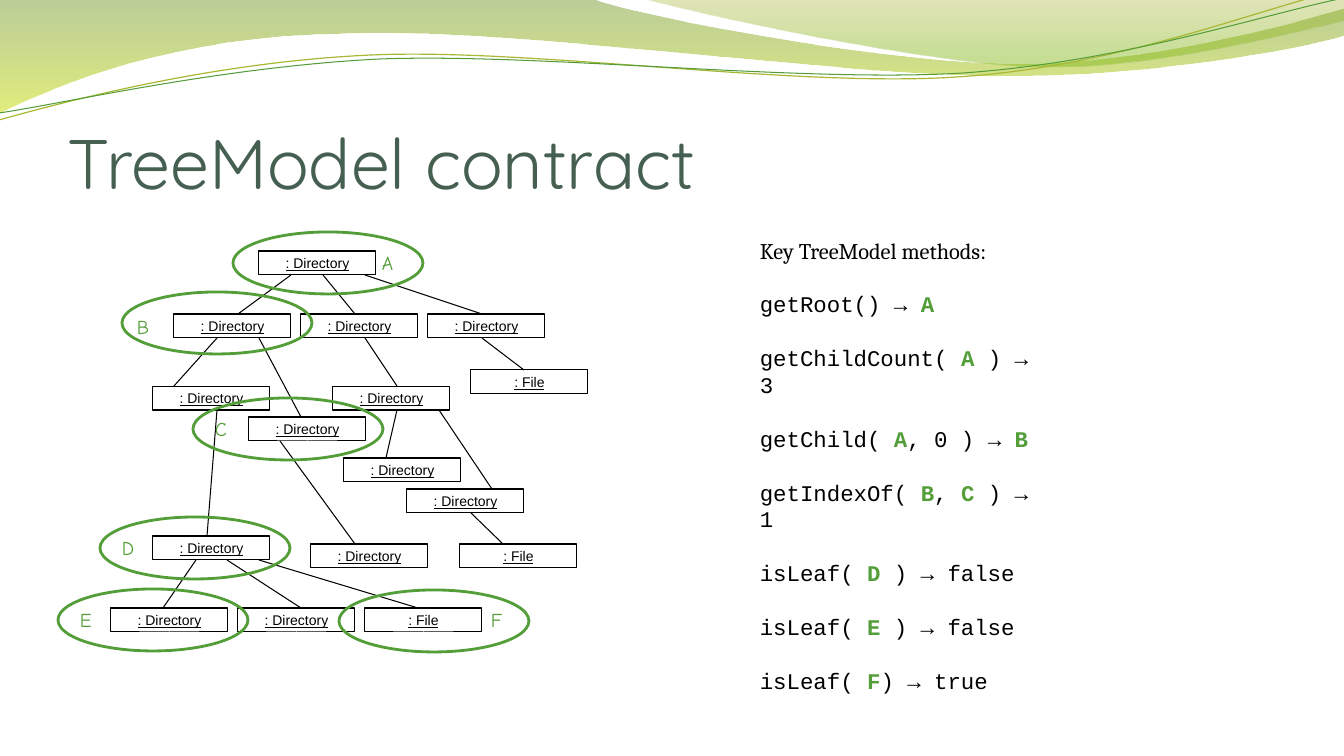
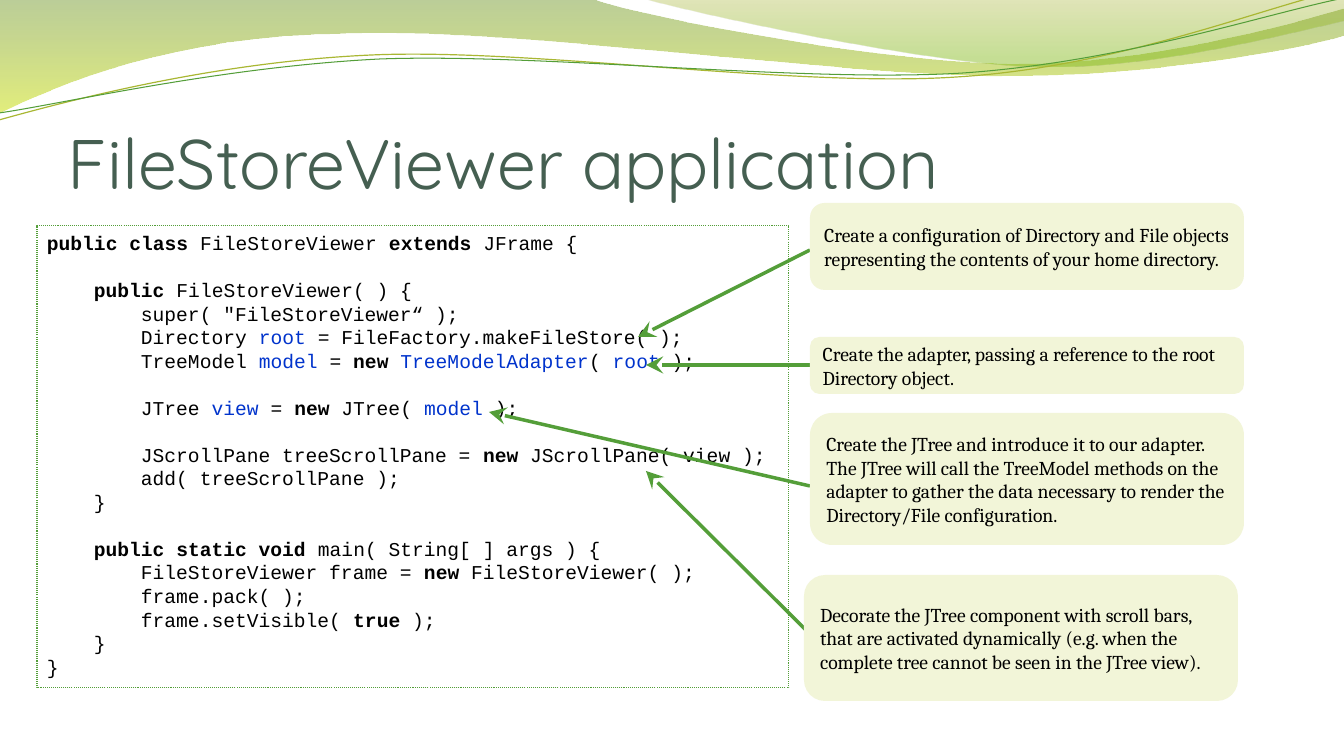
import pptx
import pptx.util
import pptx.dml.color
import pptx.enum.dml
import pptx.enum.shapes
import pptx.enum.text
import pptx.oxml.ns
import lxml.etree

PX = 9144000 / 1008  # EMU per px
BLACK, WHITE, GREEN, BLUE = "000000", "FFFFFF", "549E39", "0033CC"
OLIVE, TITLE_COLOUR, CALLOUT_FILL = "A9B733", "455F51", "F2F5D8"
SHAPE = pptx.enum.shapes.MSO_SHAPE
ALIGN = pptx.enum.text.PP_ALIGN
ANCHOR = pptx.enum.text.MSO_ANCHOR
qn = pptx.oxml.ns.qn

# Waves: pairs are straight corners, sextuples are cubic curves
BACK_WAVE = [(0, 0), (592, -1), (639, 17, 891, 64, 1019, 64),
             (1146, 64, 1287, 26, 1344, 9), (1345, 36),
             (1321, 44, 1168, 77, 1002, 76), (835, 76, 513, 28, 346, 34),
             (173, 36, 61, 84, -2, 114), (0, 0)]
FRONT_WAVE = [(643, -1), (684, 11, 916, 62, 1033, 66),
              (1149, 70, 1292, 32, 1344, 21), (1344, 0), (643, -1)]
OLIVE_WAVE = [(-1, 120), (64, 102, 212, 62, 372, 55),
              (531, 48, 795, 88, 957, 77), (1119, 67, 1261, 8, 1341, -10)]
GREEN_WAVE = [(-1, 113), (62, 104, 220, 67, 380, 59),
              (541, 53, 802, 83, 963, 73), (1123, 62, 1265, 14, 1344, -2)]

# Tree nodes: left and top inside the tree, kind of object
NODES = {
    "A": (201, 19, "Directory"), "B": (116, 82, "Directory"),
    "middle": (243, 82, "Directory"), "right": (370, 82, "Directory"),
    "left": (95, 154, "Directory"), "C": (191, 185, "Directory"),
    "inner": (275, 154, "Directory"), "inner left": (286, 226, "Directory"),
    "inner right": (349, 257, "Directory"), "right file": (413, 138, "File"),
    "D": (95, 304, "Directory"), "C child": (253, 312, "Directory"),
    "inner file": (402, 312, "File"), "E": (53, 376, "Directory"),
    "D middle": (180, 376, "Directory"), "F": (307, 376, "File"),
}
# Parent, child, x at the parent's bottom, x at the child's top
EDGES = [
    ("A", "B", 233, 180), ("A", "middle", 265, 297), ("A", "right", 307, 424),
    ("B", "left", 159, 116), ("B", "C", 201, 243),
    ("middle", "inner", 307, 339), ("right", "right file", 424, 466),
    ("inner", "inner left", 339, 328), ("inner", "inner right", 381, 434),
    ("left", "D", 159, 149), ("C", "C child", 222, 297),
    ("inner right", "inner file", 413, 445),
    ("D", "E", 138, 105), ("D", "D middle", 169, 243), ("D", "F", 201, 360),
]
# Letter, ring's left and top inside the tree, letter's place inside the ring
RINGS = [("A", 175, 0, 139, 14), ("B", 64, 60, 5, 18), ("C", 135, 166, 12, 14),
         ("D", 42, 285, 12, 14), ("E", 0, 357, 12, 14), ("F", 281, 358, 142, 13)]

# In marked text, "|" parts the runs and a leading mark picks the style
METHOD_STYLES = {"*": (True, GREEN)}
METHODS = [
    "getRoot() → |*A", "getChildCount( |*A| ) → 3",
    "getChild( |*A|, 0 ) → |*B", "getIndexOf( |*B|, |*C| ) → 1",
    "isLeaf( |*D| ) → false", "isLeaf( |*E| ) → false", "isLeaf( |*F|) → true",
]
CODE_STYLES = {"*": (True, BLACK), "~": (False, BLUE)}
# Indent level, blank lines above, marked text
CODE = [
    (0, 0, "*public class |FileStoreViewer |*extends |JFrame {"),
    (1, 1, "*public |FileStoreViewer( ) {"),
    (2, 0, 'super( "FileStoreViewer“ );'),
    (2, 0, "Directory |~root| = FileFactory.makeFileStore( );"),
    (2, 0, "TreeModel |~model| = |*new |~TreeModelAdapter|( |~root| );"),
    (2, 1, "JTree |~view| = |*new |JTree( |~model| );"),
    (2, 1, "JScrollPane treeScrollPane = |*new |JScrollPane( view );"),
    (2, 0, "add( treeScrollPane );"),
    (1, 0, "}"),
    (1, 1, "*public static void| main( String[ ] args ) {"),
    (2, 0, "FileStoreViewer frame = |*new |FileStoreViewer( );"),
    (2, 0, "frame.pack( );"),
    (2, 0, "frame.setVisible( |*true| );"),
    (1, 0, "}"),
    (0, 0, "}"),
]
# Callout box, arrow's start height, arrow's tip, text
CALLOUTS = [
    ((810, 203, 434, 87), 250, (638, 337),
     "Create a configuration of Directory and File objects representing "
     "the contents of your home directory."),
    ((810, 337, 434, 57), 365, (646, 365),
     "Create the adapter, passing a reference to the root Directory object."),
    ((810, 413, 434, 132), 486, (489, 412),
     "Create the JTree and introduce it to our adapter. The JTree will call "
     "the TreeModel methods on the adapter to gather the data necessary to "
     "render the Directory/File configuration."),
    ((804, 575, 434, 126), 634, (646, 471),
     "Decorate the JTree component with scroll bars, that are activated "
     "dynamically (e.g. when the complete tree cannot be seen in the JTree view)."),
]


def px(*lengths):
    return [pptx.util.Emu(round(length * PX)) for length in lengths]


def colour(hex_string):
    return pptx.dml.color.RGBColor.from_string(hex_string)


def set_font(para, name, size, hex_string):
    para.font.name = name
    para.font.size = pptx.util.Pt(size)
    para.font.color.rgb = colour(hex_string)


def set_line(line, hex_string, width):
    line.color.rgb = colour(hex_string)
    line.width = pptx.util.Pt(width)


def add_box(page, kind, box, fill=None, line=None, width=0.75):
    shape = page.shapes.add_shape(kind, *px(*box))
    shape.shadow.inherit = False
    if fill:
        shape.fill.solid()
        shape.fill.fore_color.rgb = colour(fill)
    else:
        shape.fill.background()
    if line:
        set_line(shape.line, line, width)
    else:
        shape.line.fill.background()
    return shape


def add_line(page, start, end, hex_string, width, arrow=False):
    line = page.shapes.add_connector(
        pptx.enum.shapes.MSO_CONNECTOR.STRAIGHT, *px(*start, *end))
    set_line(line.line, hex_string, width)
    properties = line.element.spPr
    if arrow:
        outline = properties.find(qn("a:ln"))
        lxml.etree.SubElement(outline, qn("a:tailEnd"), type="stealth", w="lg", len="lg")
    lxml.etree.SubElement(properties, qn("a:effectLst"))


def add_marked_runs(para, text, styles):
    for piece in text.split("|"):
        style = styles.get(piece[0])
        span = para.add_run()
        span.text = piece[1:] if style else piece
        if style:
            span.font.bold = style[0]
            span.font.color.rgb = colour(style[1])


def next_paragraph(frame, index):
    return frame.add_paragraph() if index else frame.paragraphs[0]


# Shared look
def add_wave(page, outline, closed):
    points = [px(*part[at:at + 2]) for part in outline for at in range(0, len(part), 2)]
    builder = page.shapes.build_freeform(*points[0], scale=1.0)
    builder.add_line_segments(points[1:], close=closed)
    wave = builder.convert_to_shape()
    wave.shadow.inherit = False
    # Join each three points of a curve into one cubic segment
    segments = list(wave.element.iter(qn("a:lnTo")))
    for part in outline[1:]:
        count = len(part) // 2
        group, segments = segments[:count], segments[count:]
        if count == 3:
            curve = group[0].makeelement(qn("a:cubicBezTo"))
            group[0].addprevious(curve)
            for segment in group:
                curve.append(segment[0])
                segment.getparent().remove(segment)
    return wave


def add_filled_wave(page, outline, stops):
    wave = add_wave(page, outline, True)
    wave.fill.gradient()
    wave.fill.gradient_angle = 270
    for stop, (position, hex_string, _) in zip(wave.fill.gradient_stops, stops):
        stop.position = position
        stop.color.rgb = colour(hex_string)
    wave.line.fill.background()
    for tint, (_, _, opacity) in zip(wave.element.spPr.iter(qn("a:srgbClr")), stops):
        lxml.etree.SubElement(tint, qn("a:alpha")).set("val", str(opacity * 1000))
    return wave


def add_line_wave(page, outline, hex_string, width):
    wave = add_wave(page, outline, False)
    wave.fill.background()
    set_line(wave.line, hex_string, width)
    return wave


def move_waves_to_master(deck, page):
    waves = [
        add_filled_wave(page, BACK_WAVE, [(0, "69921C", 45), (1, "CCE10F", 55)]),
        add_filled_wave(page, FRONT_WAVE, [(0, "9BAA1A", 30), (0.8, "81BA16", 45)]),
        add_line_wave(page, OLIVE_WAVE, OLIVE, 0.85),
        add_line_wave(page, GREEN_WAVE, GREEN, 0.75),
    ]
    tree = deck.slide_master.shapes.element
    for index, wave in enumerate(waves):
        wave.element.nvSpPr.cNvPr.set("id", str(100 + index))
        tree.insert(2 + index, wave.element)


def add_page(deck, text):
    page = deck.slides.add_slide(deck.slide_layouts[5])
    title = page.shapes.title
    title.left, title.top, title.width, title.height = px(68, 78, 1221, 126)
    frame = title.text_frame
    frame.text = text
    frame.auto_size = pptx.enum.text.MSO_AUTO_SIZE.NONE
    frame.vertical_anchor = ANCHOR.BOTTOM
    frame.margin_left, frame.margin_top, frame.margin_right, frame.margin_bottom = px(0, 5, 0, 0)
    frame.paragraphs[0].alignment = ALIGN.LEFT
    set_font(frame.paragraphs[0], "Quicksand", 50, TITLE_COLOUR)
    return page


# Object tree with its lettered rings
def add_tree(page, left, top):
    node_width, node_height = 117, 24
    for x, y, kind in NODES.values():
        node = add_box(page, SHAPE.RECTANGLE,
                       (left + x, top + y, node_width, node_height), WHITE, BLACK)
        frame = node.text_frame
        frame.text = ": " + kind
        frame.word_wrap = False
        frame.vertical_anchor = ANCHOR.MIDDLE
        para = frame.paragraphs[0]
        para.alignment = ALIGN.CENTER
        set_font(para, "Arial", 10, BLACK)
        para.font.underline = True
    for parent, child, start_x, end_x in EDGES:
        add_line(page, (left + start_x, top + NODES[parent][1] + node_height),
                 (left + end_x, top + NODES[child][1]), BLACK, 0.75)
    for letter, x, y, letter_x, letter_y in RINGS:
        add_box(page, SHAPE.OVAL, (left + x, top + y, 190, 62), line=GREEN, width=2)
        label = page.shapes.add_textbox(
            *px(left + x + letter_x, top + y + letter_y, 34, 34))
        label.text_frame.text = letter
        label.text_frame.word_wrap = False
        set_font(label.text_frame.paragraphs[0], "Comic Neue", 14, GREEN)


def add_methods(page, box):
    frame = page.shapes.add_textbox(*px(*box)).text_frame
    frame.word_wrap = True
    for index, text in enumerate(["Key TreeModel methods:"] + METHODS):
        para = next_paragraph(frame, index)
        set_font(para, "Courier New" if index else "Cambria", 16, BLACK)
        para.line_spacing = pptx.util.Pt(19)
        para.space_before = pptx.util.Pt(19.5 if index else 0)
        add_marked_runs(para, text, METHOD_STYLES)


# Code listing with its callouts
def add_code(page, box):
    panel = add_box(page, SHAPE.RECTANGLE, box, WHITE, GREEN)
    panel.line.dash_style = pptx.enum.dml.MSO_LINE.ROUND_DOT
    frame = panel.text_frame
    frame.word_wrap = True
    frame.vertical_anchor = ANCHOR.TOP
    pitch = 16.8
    for index, (level, blanks, text) in enumerate(CODE):
        para = next_paragraph(frame, index)
        para.alignment = ALIGN.LEFT
        set_font(para, "Courier New", 14, BLACK)
        para.line_spacing = pptx.util.Pt(pitch)
        para.space_before = pptx.util.Pt(pitch * blanks)
        para._p.get_or_add_pPr().set("marL", str(px(47 * level)[0]))
        add_marked_runs(para, text, CODE_STYLES)


def add_callouts(page, edge):
    for _, start_y, tip, _ in CALLOUTS:
        add_line(page, (edge, start_y), tip, GREEN, 2.5, arrow=True)
    for box, _, _, text in CALLOUTS:
        frame = add_box(page, SHAPE.ROUNDED_RECTANGLE, box, CALLOUT_FILL).text_frame
        frame.text = text
        frame.word_wrap = True
        frame.vertical_anchor = ANCHOR.MIDDLE
        frame.paragraphs[0].alignment = ALIGN.LEFT
        set_font(frame.paragraphs[0], "Cambria", 14, BLACK)


def main():
    deck = pptx.Presentation()
    deck.slide_width, deck.slide_height = px(1344, 756)
    contract = add_page(deck, "TreeModel contract")
    move_waves_to_master(deck, contract)
    add_tree(contract, 58, 232)
    add_methods(contract, (750, 232, 302, 417))
    viewer = add_page(deck, "FileStoreViewer application")
    add_code(viewer, (37, 226, 752, 462))
    add_callouts(viewer, 810)
    deck.save("out.pptx")


if __name__ == "__main__":
    main()
